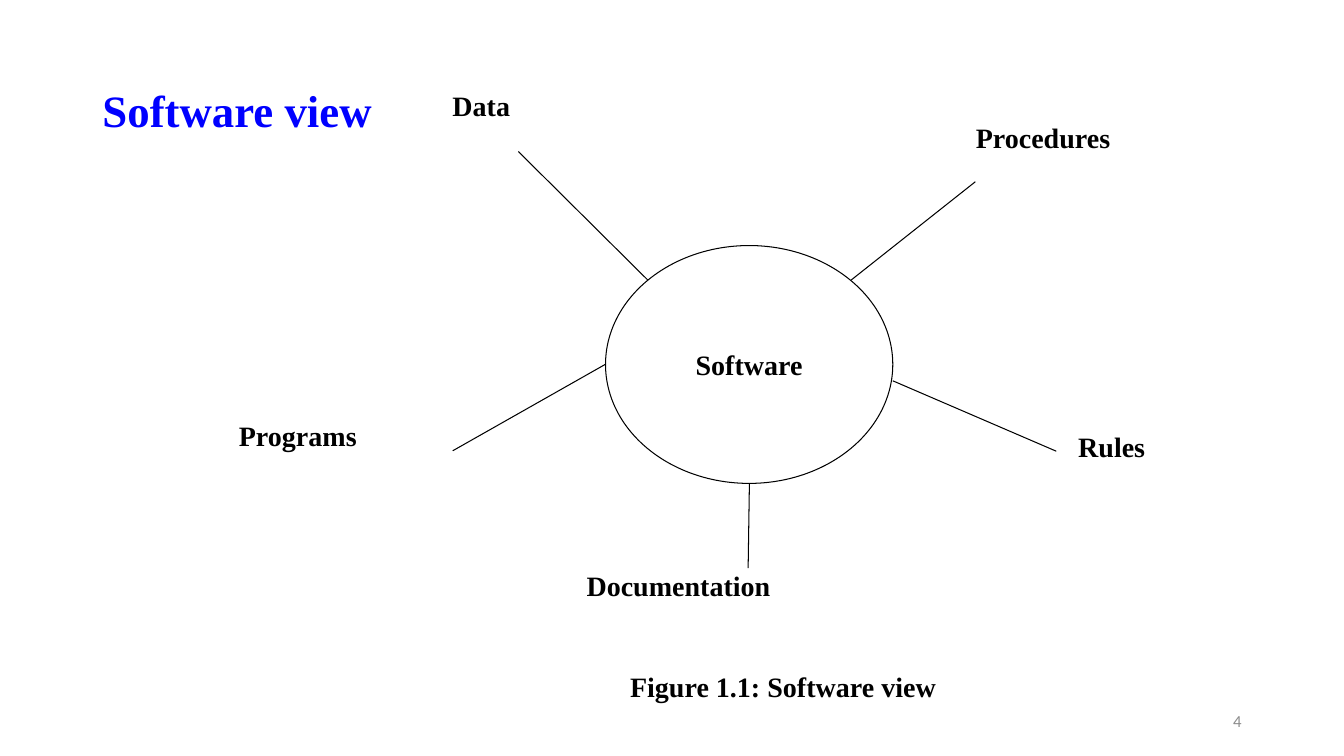
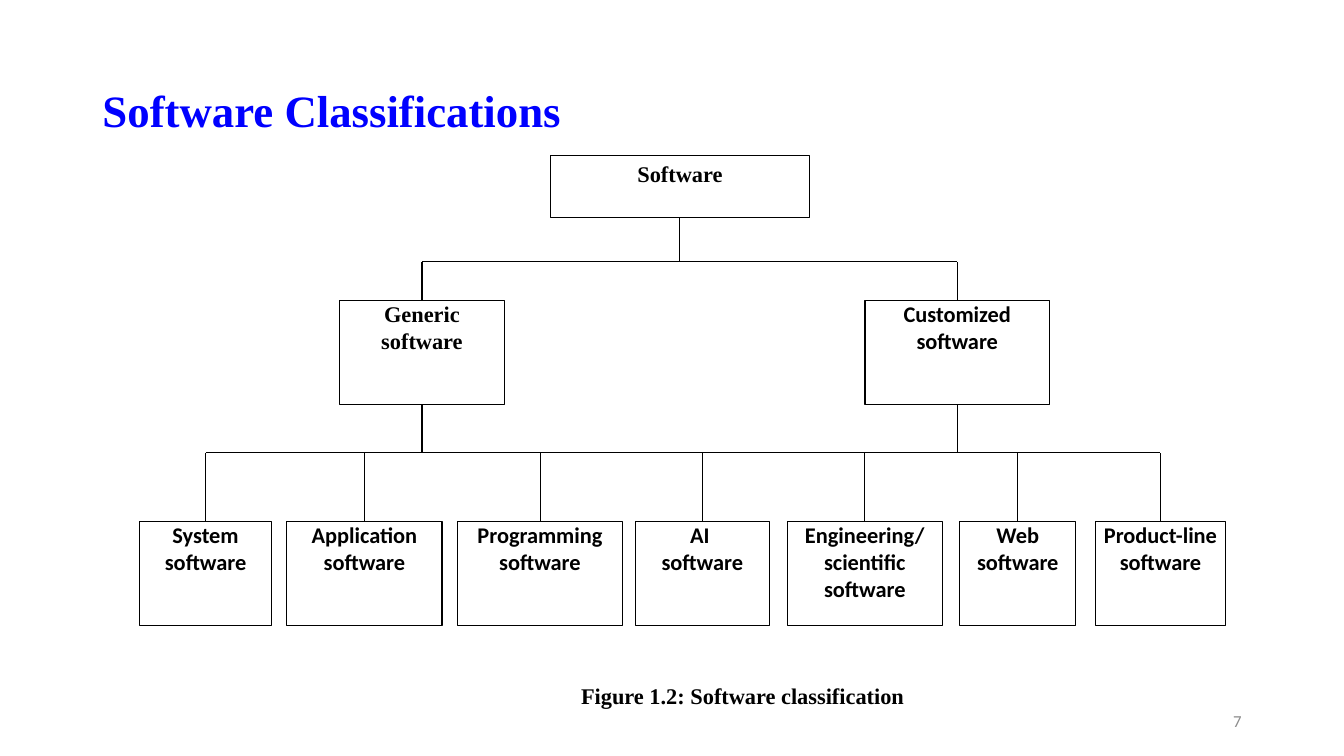
"""Build two slides: a software view diagram and a software classification tree."""
import pptx
import pptx.dml.color
import pptx.enum.shapes
import pptx.enum.text
import pptx.oxml
import pptx.oxml.ns
import pptx.util

Pt = pptx.util.Pt
ALIGN = pptx.enum.text.PP_ALIGN
ANCHOR = pptx.enum.text.MSO_ANCHOR
SHAPE = pptx.enum.shapes.MSO_SHAPE

BLACK, WHITE, BLUE, GREY = "000000", "FFFFFF", "0000FF", "8C8C8C"
SERIF, SANS = "Times New Roman", "Calibri"
TITLE_AREA = (66, 28.8, 828, 104.4)
NUMBER_AREA = (678, 500.4, 216, 28.8)
TOP, BOTTOM = 0, 2

VIEW = {
    "title": "Software view",
    "number": "4",
    "caption": ("Figure 1.1: Software view", (323.2, 478.1, 472.3, 48.2), 20),
}
HUB = ("Software", (432.5, 175.4, 205.2, 169.9))
ASPECTS = [
    ("Data", (323.2, 62.9, 93.6, 45.4), (462.8, 200.1), (370.3, 108.3)),
    ("Procedures", (697, 86.4, 170.6, 43.9), (607.9, 200.1), (696.7, 129.8)),
    ("Programs", (170.6, 299.2, 152.6, 46.1), (432.5, 260.2), (323.4, 322)),
    ("Rules", (770.2, 307.1, 91.4, 38.2), (637.7, 272), (754.5, 322.3)),
    ("Documentation", (419, 406.1, 230.4, 35.3), (535.3, 345.2), (534.4, 405.8)),
]

CLASSES = {
    "title": "Software Classifications",
    "number": "7",
    "caption": ("Figure 1.2: Software classification", (344.4, 487, 372.2, 33.8), 16),
}
ROOT = ("Software", 393, 185.4, SERIF)
BRANCHES = [
    ("Generic\nsoftware", 242.4, 118.1, SERIF),
    ("Customized\nsoftware", 617.9, 131.8, SANS),
]
LEAVES = [
    ("System software", 99.7, 94.3, SANS),
    ("Application software", 204.9, 110.9, SANS),
    ("Programming software", 326.7, 118.1, SANS),
    ("AI \nsoftware", 453.8, 95.8, SANS),
    ("Engineering/ scientific software", 562.3, 110.9, SANS),
    ("Web software", 685.4, 83.2, SANS),
    ("Product-line software", 782.5, 92.9, SANS),
]
ROOT_ROW, BRANCH_ROW, LEAF_ROW = (110.9, 44.6), (214.6, 74.2), (372.2, 74.5)
UPPER_BUS, LOWER_BUS = 187, 323.3


def rgb(value):
    return pptx.dml.color.RGBColor.from_string(value)


def points(*lengths):
    return [Pt(length) for length in lengths]


def write(shape, text, size=16, font=SERIF, color=BLACK, bold=True,
          align=ALIGN.CENTER, anchor=ANCHOR.TOP, inset=(0, 0), spacing=None):
    frame = shape.text_frame
    frame.word_wrap = True
    frame.vertical_anchor = anchor
    frame.margin_left = frame.margin_right = Pt(inset[0])
    frame.margin_top = frame.margin_bottom = Pt(inset[1])
    for index, line in enumerate(text.split("\n")):
        para = frame.add_paragraph() if index else frame.paragraphs[0]
        para.alignment = align
        para.line_spacing = spacing
        span = para.add_run()
        span.text = line
        span.font.size, span.font.name, span.font.bold = Pt(size), font, bold
        span.font.color.rgb = rgb(color)


def add_box(page, text, area, kind=SHAPE.RECTANGLE, outline=BLACK, **style):
    box = page.shapes.add_shape(kind, *points(*area))
    box.shadow.inherit = False
    box.fill.solid()
    box.fill.fore_color.rgb = rgb(WHITE)
    box.line.color.rgb = rgb(outline)
    box.line.width = Pt(0.75)
    write(box, text, **style)
    return box


def add_line(page, start, end):
    line = page.shapes.add_connector(
        pptx.enum.shapes.MSO_CONNECTOR.STRAIGHT, *points(*start, *end))
    line.line.color.rgb = rgb(BLACK)
    line.line.width = Pt(0.75)
    properties = line._element.spPr
    properties.append(properties.makeelement(pptx.oxml.ns.qn("a:effectLst"), {}))
    return line


def add_page(deck, content):
    page = deck.slides.add_slide(deck.slide_layouts[5])
    title = page.shapes.title
    title.left, title.top, title.width, title.height = points(*TITLE_AREA)
    write(title, content["title"], size=32, color=BLUE, align=ALIGN.LEFT,
          anchor=ANCHOR.MIDDLE, inset=(7.2, 3.6), spacing=0.9)
    caption, area, size = content["caption"]
    add_box(page, caption, area, outline=WHITE, size=size)
    number = page.shapes.add_textbox(*points(*NUMBER_AREA))
    write(number, content["number"], size=12, font=SANS, color=GREY, bold=False,
          align=ALIGN.RIGHT, anchor=ANCHOR.MIDDLE, inset=(7.2, 3.6))
    return page


def add_node(page, node, row, **style):
    text, left, width, font = node
    top, height = row
    return add_box(page, text, (left, top, width, height), font=font, **style)


def center(box):
    return (box.left + box.width / 2) / Pt(1)


def join(page, parents, children, level):
    """Link two rows of boxes through a horizontal line at the given level."""
    columns = [center(child) for child in children]
    add_line(page, (columns[0], level), (columns[-1], level))
    for boxes, site in ((parents, BOTTOM), (children, TOP)):
        for box in boxes:
            column = center(box)
            stem = add_line(page, (column, level), (column, level))
            stem.begin_connect(box, site)


def build_view(deck):
    page = add_page(deck, VIEW)
    text, area = HUB
    add_box(page, text, area, kind=SHAPE.OVAL, size=20, anchor=ANCHOR.MIDDLE)
    for label, area, rim, tip in ASPECTS:
        add_box(page, label, area, outline=WHITE, size=20, align=ALIGN.LEFT)
        add_line(page, rim, tip)


def build_classes(deck):
    page = add_page(deck, CLASSES)
    root = add_node(page, ROOT, ROOT_ROW, inset=(7.2, 3.6))
    branches = [add_node(page, node, BRANCH_ROW) for node in BRANCHES]
    leaves = [add_node(page, node, LEAF_ROW) for node in LEAVES]
    join(page, [root], branches, UPPER_BUS)
    join(page, branches, leaves, LOWER_BUS)


def main():
    deck = pptx.Presentation()
    deck.slide_width, deck.slide_height = Pt(960), Pt(540)
    build_view(deck)
    build_classes(deck)
    deck.save("out.pptx")


if __name__ == "__main__":
    main()
